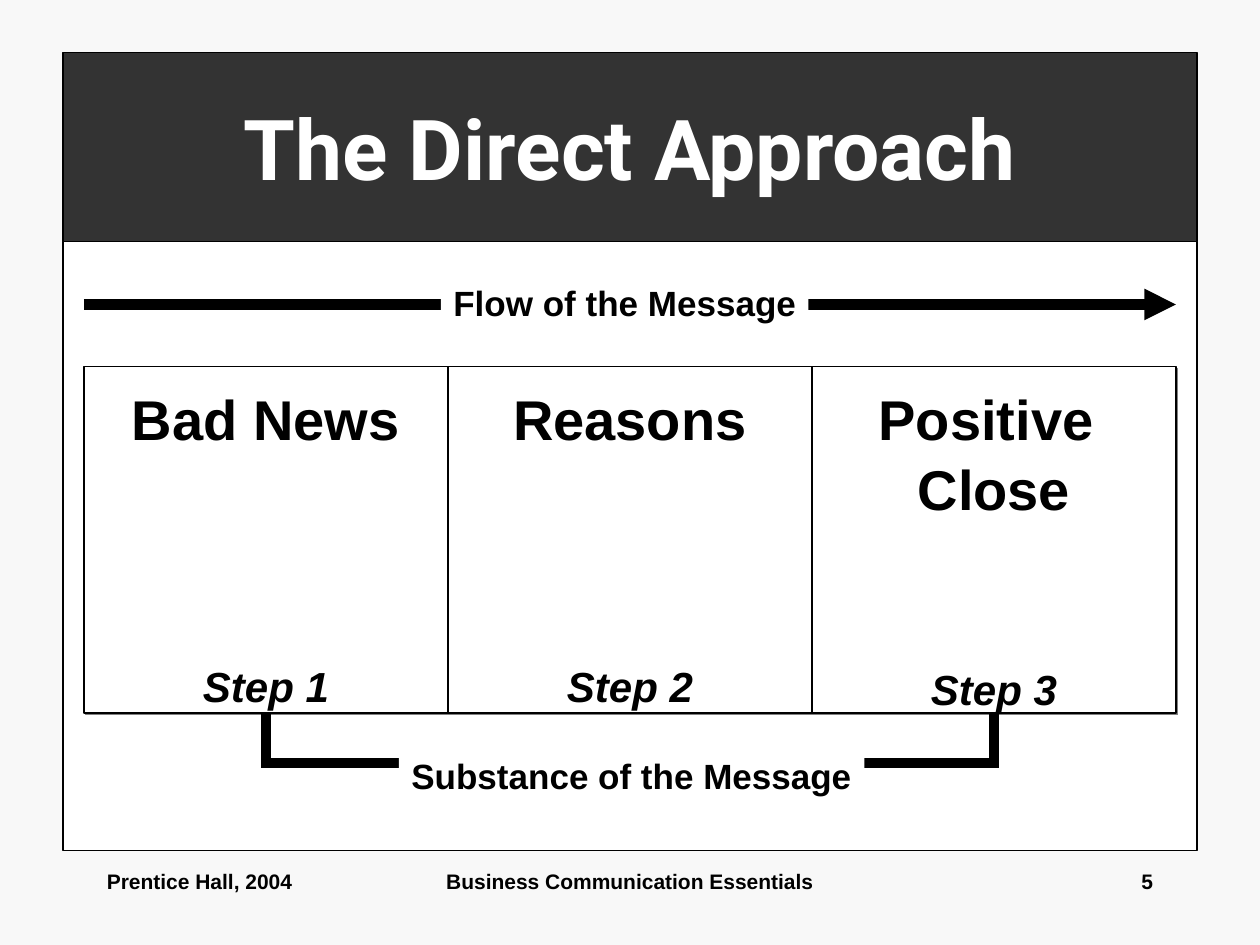
from lxml.etree import SubElement
from pptx import Presentation
from pptx.dml.color import RGBColor
from pptx.enum.shapes import MSO_CONNECTOR, MSO_SHAPE
from pptx.enum.text import MSO_ANCHOR, MSO_AUTO_SIZE, PP_ALIGN
from pptx.oxml.ns import qn
from pptx.util import Pt

BLACK = RGBColor(0x00, 0x00, 0x00)
WHITE = RGBColor(0xFF, 0xFF, 0xFF)
DARK = RGBColor(0x33, 0x33, 0x33)
PALE = RGBColor(0xF8, 0xF8, 0xF8)
GREY = RGBColor(0x80, 0x80, 0x80)

LEFT, WIDE = 48, 208
TOP, HIGH = 209.5, 198
RIGHT = LEFT + 3 * WIDE
BASE = TOP + HIGH
STEPS = [["Bad News"], ["Reasons"], ["Positive ", "Close"]]


def write(para, text, size=32, font="Arial", color=BLACK, italic=False,
          align=PP_ALIGN.CENTER, before=0):
    para.alignment = align
    para.space_before = Pt(before)
    run = para.add_run()
    run.text = text
    run.font.size = Pt(size)
    run.font.name = font
    run.font.bold = True
    run.font.italic = italic
    run.font.color.rgb = color


def paint(shape, fill, edge=True):
    shape.fill.solid()
    shape.fill.fore_color.rgb = fill
    if edge:
        shape.line.color.rgb = BLACK
        shape.line.width = Pt(0.75)
    else:
        shape.line.fill.background()


def add_box(slide, x, y, w, h, edge=True):
    box = slide.shapes.add_shape(MSO_SHAPE.RECTANGLE, Pt(x), Pt(y), Pt(w), Pt(h))
    box.shadow.inherit = False
    paint(box, WHITE, edge)
    box.text_frame.vertical_anchor = MSO_ANCHOR.TOP
    return box


def add_title(slide, text):
    title = slide.shapes.title
    title.left, title.top = Pt(36), Pt(30)
    title.width, title.height = Pt(648), Pt(108)
    paint(title, DARK)
    frame = title.text_frame
    frame.auto_size = MSO_AUTO_SIZE.NONE
    frame.vertical_anchor = MSO_ANCHOR.MIDDLE
    write(frame.paragraphs[0], text, size=48, font="Roboto", color=WHITE)


def drop_shadow(shape):
    effects = shape.element.spPr.find(qn("a:effectLst"))
    shade = SubElement(effects, qn("a:outerShdw"), dist=str(Pt(1.4)),
                       dir=str(45 * 60000), algn="ctr", rotWithShape="0")
    SubElement(shade, qn("a:srgbClr"), val=str(GREY))


def add_step(slide, index, heads):
    box = add_box(slide, LEFT + index * WIDE, TOP, WIDE, HIGH)
    drop_shadow(box)
    frame = box.text_frame
    frame.word_wrap = False
    frame.margin_top = Pt(10)
    for row, head in enumerate(heads):
        para = frame.add_paragraph() if row else frame.paragraphs[0]
        write(para, head, before=2 if row else 0)
    gap = 119.5 - 39 * (len(heads) - 1)
    write(frame.add_paragraph(), f"Step {index + 1}", size=24, italic=True,
          before=gap)


def stroke(shape):
    """Give a heavy black line and return its XML element."""
    shape.line.color.rgb = BLACK
    shape.line.width = Pt(6)
    line = shape.element.spPr.find(qn("a:ln"))
    SubElement(line, qn("a:miter"), lim="800000")
    return line


def add_arrow(slide, y):
    arrow = slide.shapes.add_connector(MSO_CONNECTOR.STRAIGHT, Pt(LEFT), Pt(y),
                                       Pt(RIGHT), Pt(y))
    SubElement(stroke(arrow), qn("a:tailEnd"), type="triangle")
    SubElement(arrow.element.spPr, qn("a:effectLst"))


def add_link(slide, y):
    """Join the undersides of the first and last steps."""
    start, end = LEFT + WIDE / 2, RIGHT - WIDE / 2
    path = slide.shapes.build_freeform(start, BASE, scale=Pt(1))
    path.add_line_segments([(start, y), (end, y), (end, BASE)], close=False)
    link = path.convert_to_shape()
    link.shadow.inherit = False
    link.fill.background()
    stroke(link)


def add_label(slide, text, x, y, w):
    frame = add_box(slide, x, y, w, 31.5, edge=False).text_frame
    frame.word_wrap = False
    frame.margin_top = Pt(5)
    write(frame.paragraphs[0], text, size=20, align=PP_ALIGN.LEFT)


def add_footer(slide, text, x, w, align):
    frame = slide.shapes.add_textbox(Pt(x), Pt(492), Pt(w), Pt(36)).text_frame
    frame.word_wrap = True
    frame.margin_top = Pt(4.5)
    write(frame.paragraphs[0], text, size=12, align=align)


def main():
    deck = Presentation()
    deck.slide_width, deck.slide_height = Pt(720), Pt(540)
    slide = deck.slides.add_slide(deck.slide_layouts[5])
    slide.background.fill.solid()
    slide.background.fill.fore_color.rgb = PALE

    add_box(slide, 36, 138, 648, 348)
    add_title(slide, "The Direct Approach")
    for index, heads in enumerate(STEPS):
        add_step(slide, index, heads)
    add_arrow(slide, 174)
    add_link(slide, 436.5)
    add_label(slide, "Flow of the Message", 252, 156, 210)
    add_label(slide, "Substance of the Message", 228, 426, 266)
    add_footer(slide, "Business Communication Essentials", 246, 228, PP_ALIGN.CENTER)
    add_footer(slide, "5", 516, 150, PP_ALIGN.RIGHT)
    add_footer(slide, "Prentice Hall, 2004", 54, 150, PP_ALIGN.LEFT)
    deck.save("out.pptx")


if __name__ == "__main__":
    main()
